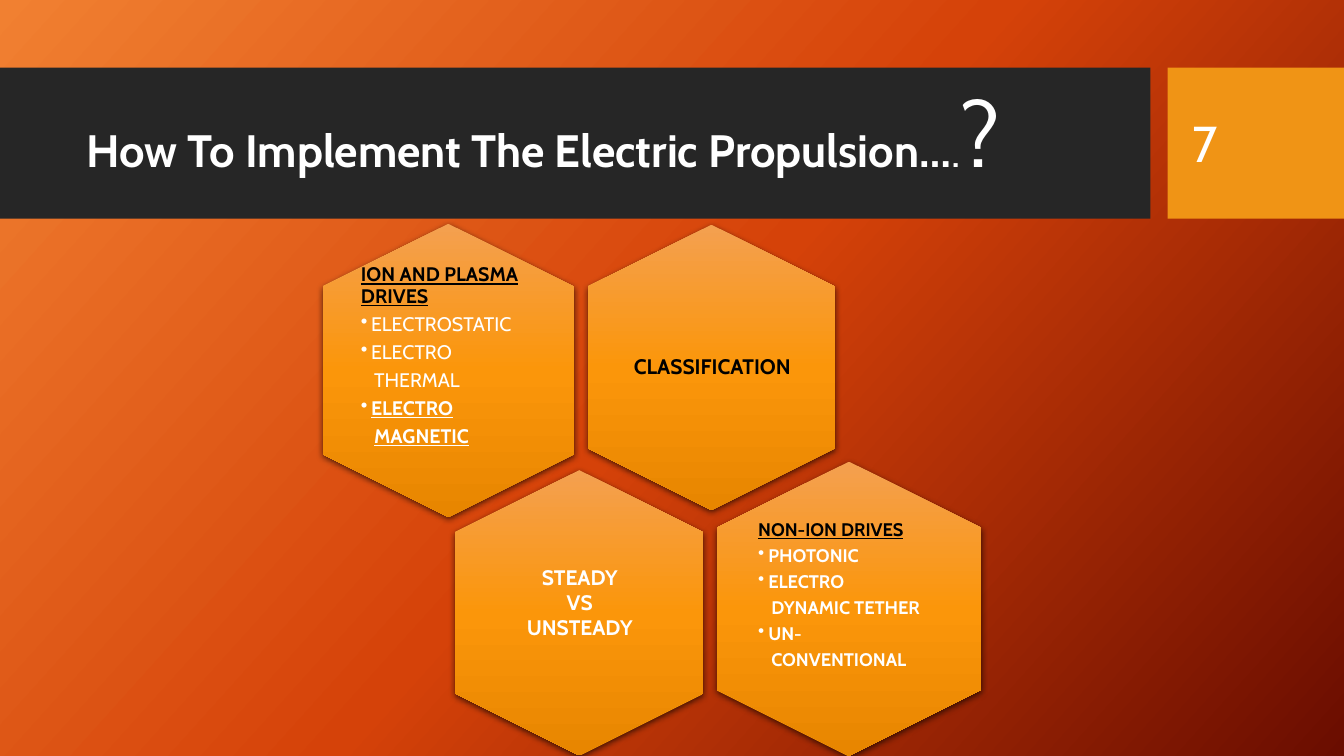
from lxml.etree import SubElement
from pptx import Presentation
from pptx.dml.color import RGBColor
from pptx.enum.shapes import MSO_SHAPE
from pptx.enum.text import MSO_ANCHOR, PP_ALIGN
from pptx.oxml.ns import qn
from pptx.util import Inches, Pt

FONT = "Cabin"
WHITE = RGBColor(0xFF, 0xFF, 0xFF)
BLACK = RGBColor(0x00, 0x00, 0x00)
CHARCOAL = RGBColor(0x26, 0x26, 0x26)
AMBER = RGBColor(0xF0, 0x94, 0x15)
BACKGROUND_COLORS = (RGBColor(0xF1, 0x80, 0x31), RGBColor(0xD5, 0x42, 0x09), RGBColor(0x6A, 0x0D, 0x00))
HEXAGON_COLORS = (RGBColor(0xF4, 0xA0, 0x50), RGBColor(0xFB, 0x96, 0x0A), RGBColor(0xE8, 0x86, 0x00))

HEXAGONS = (
    (5.64, 2.42, 2.83, 2.45),
    (2.99, 2.43, 2.91, 2.49),
    (4.33, 4.85, 2.83, 2.46),
    (6.96, 4.73, 2.92, 2.62),
)
ION_DRIVES = (
    ("ELECTROSTATIC", True, False),
    ("ELECTRO", True, False),
    ("THERMAL", False, False),
    ("ELECTRO", True, True),
    ("MAGNETIC", False, True),
)
NON_ION_DRIVES = (
    ("PHOTONIC", True, False),
    ("ELECTRO", True, False),
    ("DYNAMIC TETHER", False, False),
    ("UN-", True, False),
    ("CONVENTIONAL", False, False),
)


def apply_gradient(fill, element, colors, angle):
    """Give a fill an evenly spaced linear gradient, with the angle clockwise."""
    fill.gradient()
    gradient = element.find(".//" + qn("a:gradFill"))
    stops = gradient.find(qn("a:gsLst"))
    for stop in list(stops):
        stops.remove(stop)
    for index, color in enumerate(colors):
        stop = SubElement(stops, qn("a:gs"), pos=str(index * 100000 // (len(colors) - 1)))
        SubElement(stop, qn("a:srgbClr"), val=str(color))
    gradient.find(qn("a:lin")).set("ang", str(angle * 60000))


def add_panel(slide, left, width, color):
    """Add a plain rectangle of the header band."""
    panel = slide.shapes.add_shape(
        MSO_SHAPE.RECTANGLE, Inches(left), Inches(0.67), Inches(width), Inches(1.5))
    panel.shadow.inherit = False
    panel.fill.solid()
    panel.fill.fore_color.rgb = color
    panel.line.fill.background()


def add_hexagon(slide, left, top, width, height):
    """Add an upright hexagon with a gradient and a soft shadow."""
    hexagon = slide.shapes.add_shape(
        MSO_SHAPE.HEXAGON, Inches(left), Inches(top), Inches(width), Inches(height))
    hexagon.rotation = 90
    hexagon.adjustments[0] = 0.25
    properties = hexagon._element.spPr
    apply_gradient(hexagon.fill, properties, HEXAGON_COLORS, 0)
    hexagon.line.fill.background()
    hexagon.shadow.inherit = False
    shadow = SubElement(
        properties.find(qn("a:effectLst")), qn("a:outerShdw"), blurRad=str(Pt(4.5)),
        dist=str(Pt(1.5)), dir="5400000", algn="ctr", rotWithShape="0")
    color = SubElement(shadow, qn("a:srgbClr"), val=str(BLACK))
    SubElement(color, qn("a:alpha"), val="63000")


def add_text_box(slide, left, top, width, height, inset=0.0):
    """Add a wrapping, vertically centred text box and return its frame."""
    box = slide.shapes.add_textbox(Inches(left), Inches(top), Inches(width), Inches(height))
    frame = box.text_frame
    frame.word_wrap = True
    frame.vertical_anchor = MSO_ANCHOR.MIDDLE
    frame.margin_left = frame.margin_right = Inches(inset)
    frame.margin_top = frame.margin_bottom = Inches(inset)
    return frame


def next_paragraph(frame):
    """Return the empty first paragraph, or a new one."""
    first = frame.paragraphs[0]
    return frame.add_paragraph() if first.text else first


def add_line(frame, text, size, color=WHITE, bold=False, underline=False, align=PP_ALIGN.LEFT):
    """Write one uniformly formatted paragraph and return it."""
    paragraph = next_paragraph(frame)
    paragraph.text = text
    paragraph.alignment = align
    font = paragraph.font
    font.name, font.size, font.bold, font.underline = FONT, Pt(size), bold, underline
    font.color.rgb = color
    return paragraph


def set_list_spacing(paragraph, size):
    """Tighten the lines and leave a gap in proportion to the text size."""
    paragraph.line_spacing = 0.9
    paragraph.space_after = Pt(round(size * 0.35, 1))


def set_bullet(paragraph):
    """Give a paragraph a round bullet with a hanging indent."""
    properties = paragraph._p.get_or_add_pPr()
    properties.set("marL", str(Inches(0.1)))
    properties.set("indent", str(-Inches(0.1)))
    bullet = properties.makeelement(qn("a:buChar"), {"char": "•"})
    properties.find(qn("a:defRPr")).addprevious(bullet)


def add_drive_list(slide, position, heading, drives, size, all_bold):
    """Add an underlined heading followed by its bulleted drives."""
    frame = add_text_box(slide, *position)
    set_list_spacing(add_line(frame, heading, size, BLACK, True, True), size)
    for text, bulleted, emphasized in drives:
        paragraph = add_line(frame, text, size, WHITE, all_bold or emphasized, emphasized)
        set_list_spacing(paragraph, size)
        if bulleted:
            set_bullet(paragraph)
        else:
            paragraph._p.get_or_add_pPr().set("marL", str(Inches(0.13)))


def set_title(slide):
    """Place the title and write its differently sized parts."""
    title = slide.shapes.title
    title.left, title.top = Inches(0.76), Inches(0.78)
    title.width, title.height = Inches(10.51), Inches(1.18)
    title.text_frame.vertical_anchor = MSO_ANCHOR.MIDDLE
    paragraph = title.text_frame.paragraphs[0]
    paragraph.alignment = PP_ALIGN.LEFT
    paragraph.line_spacing = 0.9
    parts = (("How To Implement The Electric Propulsion…", 32.4, True), (".", 32.4, False), ("?", 64.8, False))
    for text, size, bold in parts:
        run = paragraph.add_run()
        run.text = text
        run.font.name, run.font.size, run.font.bold = FONT, Pt(size), bold
        run.font.color.rgb = WHITE


def main():
    """Build the slide and save it."""
    presentation = Presentation()
    presentation.slide_width, presentation.slide_height = Inches(13.33), Inches(7.5)
    slide = presentation.slides.add_slide(presentation.slide_layouts[5])
    apply_gradient(slide.background.fill, slide._element, BACKGROUND_COLORS, 42)
    add_panel(slide, 0, 11.41, CHARCOAL)
    add_panel(slide, 11.58, 1.75, AMBER)
    set_title(slide)
    slide.shapes._spTree.append(slide.shapes.title._element)
    for position in HEXAGONS:
        add_hexagon(slide, *position)
    classification = add_text_box(slide, 6.22, 2.67, 1.69, 1.95, 0.06)
    set_list_spacing(
        add_line(classification, "CLASSIFICATION", 15, BLACK, True, align=PP_ALIGN.CENTER), 15)
    add_drive_list(slide, (3.58, 2.53, 1.72, 2.01), "ION AND PLASMA DRIVES", ION_DRIVES, 14, False)
    steadiness = add_text_box(slide, 4.9, 5, 1.7, 1.95, 0.06)
    for text in ("STEADY", "VS", "UNSTEADY"):
        add_line(steadiness, text, 15, bold=True, align=PP_ALIGN.CENTER)
    add_drive_list(slide, (7.52, 4.91, 1.79, 2), "NON-ION DRIVES", NON_ION_DRIVES, 13, True)
    add_line(add_text_box(slide, 11.73, 0.82, 1.26, 1.19, 0.1), "7", 36)
    presentation.save("out.pptx")


if __name__ == "__main__":
    main()
